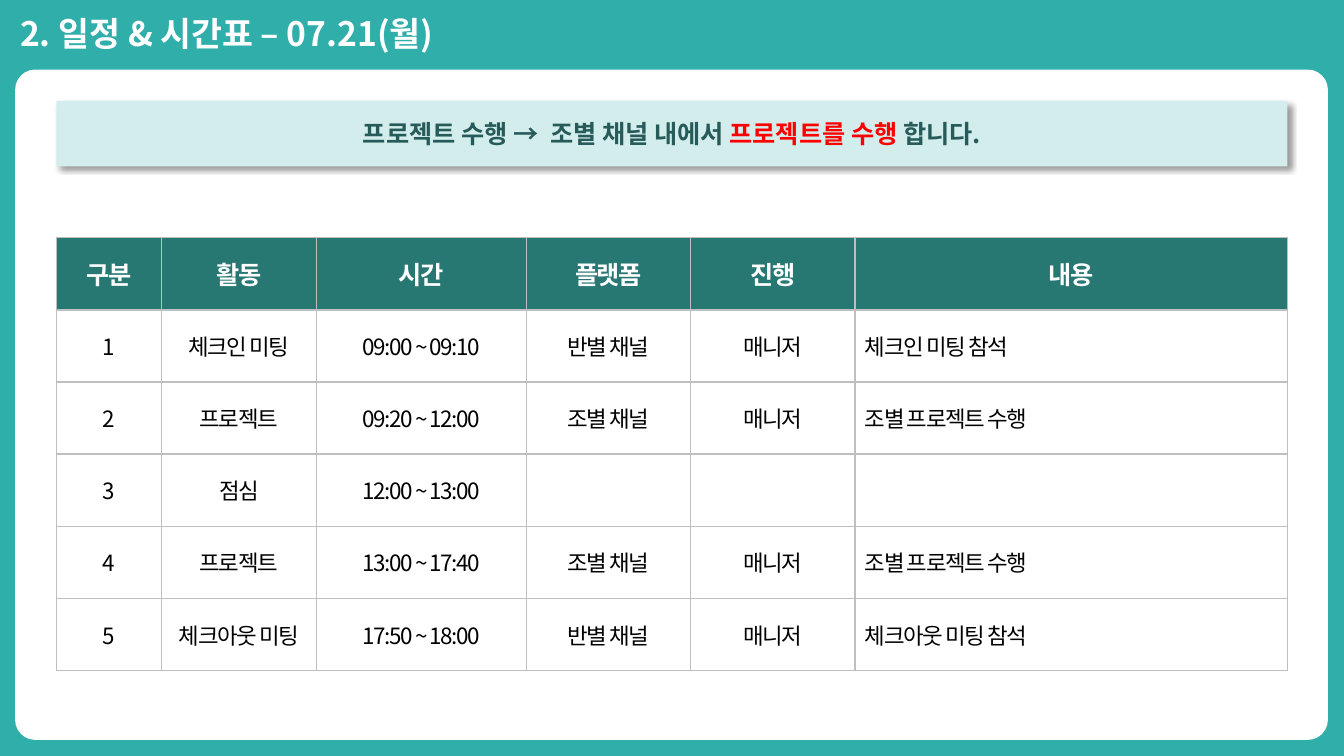
from dataclasses import dataclass

from lxml import etree
from pptx import Presentation
from pptx import util as u
from pptx.dml.color import RGBColor
from pptx.enum import shapes, text
from pptx.oxml import ns, parse_xml

FONT = "Noto Sans CJK KR"
TEAL = RGBColor(0x30, 0xAE, 0xAA)
PALE_TEAL = RGBColor(0xD3, 0xED, 0xEC)
DARK_TEAL = RGBColor(0x27, 0x78, 0x72)
NOTICE_TEXT = RGBColor(0x27, 0x5B, 0x5A)
GRID = RGBColor(0xBF, 0xBF, 0xBF)
RED = RGBColor(0xFF, 0, 0)
WHITE = RGBColor(0xFF, 0xFF, 0xFF)
BLACK = RGBColor(0, 0, 0)

LEFT, WIDTH = 0.56, 12.21
ROW_HEIGHT = 0.715


@dataclass(frozen=True)
class Span:
    words: str
    size: int
    color: RGBColor
    bold: bool = True
    spacing: int = 0


@dataclass(frozen=True)
class Column:
    heading: str
    width: float
    align: text.PP_ALIGN = text.PP_ALIGN.CENTER


COLUMNS = [
    Column("구분", 1.04),
    Column("활동", 1.54),
    Column("시간", 2.08),
    Column("플랫폼", 1.63),
    Column("진행", 1.63),
    Column("내용", 4.29, text.PP_ALIGN.LEFT),
]
SCHEDULE = [
    ("1", "체크인 미팅", "09:00 ~ 09:10", "반별 채널", "매니저", "체크인 미팅 참석"),
    ("2", "프로젝트", "09:20 ~ 12:00", "조별 채널", "매니저", "조별 프로젝트 수행"),
    ("3", "점심", "12:00 ~ 13:00", "", "", ""),
    ("4", "프로젝트", "13:00 ~ 17:40", "조별 채널", "매니저", "조별 프로젝트 수행"),
    ("5", "체크아웃 미팅", "17:50 ~ 18:00", "반별 채널", "매니저", "체크아웃 미팅 참석"),
]
NOTICE = [
    Span("프로젝트 수행 →  조별 채널 내에서 ", 18, NOTICE_TEXT),
    Span("프로젝트를 수행 ", 18, RED),
    Span("합니다.", 18, NOTICE_TEXT),
]


def write(para, spans: list[Span], align: text.PP_ALIGN) -> None:
    para.alignment = align
    for span in spans:
        run = para.add_run()
        run.text = span.words
        run.font.size = u.Pt(span.size)
        run.font.bold = span.bold
        run.font.color.rgb = span.color
        run.font.name = FONT
        properties = run.font._element
        etree.SubElement(properties, ns.qn("a:ea"), typeface=FONT)
        if span.spacing:
            properties.set("spc", str(span.spacing * 100))


def add_panel(page, kind: shapes.MSO_SHAPE, left: float, top: float,
              width: float, height: float, fill: RGBColor):
    panel = page.shapes.add_shape(
        kind, u.Inches(left), u.Inches(top), u.Inches(width), u.Inches(height))
    panel.shadow.inherit = False
    panel.fill.solid()
    panel.fill.fore_color.rgb = fill
    panel.line.fill.background()
    return panel


def add_title(page) -> None:
    title = page.shapes.title
    title.left, title.top = u.Inches(0.1), u.Inches(0.08)
    title.width, title.height = u.Inches(5.06), u.Inches(0.5)
    frame = title.text_frame
    frame.auto_size = text.MSO_AUTO_SIZE.SHAPE_TO_FIT_TEXT
    frame.vertical_anchor = text.MSO_ANCHOR.TOP
    frame.word_wrap = True
    write(frame.paragraphs[0], [Span("2. 일정 & 시간표 – 07.21(월)", 24, WHITE)],
          text.PP_ALIGN.LEFT)


def add_notice(page) -> None:
    box = add_panel(page, shapes.MSO_SHAPE.RECTANGLE, LEFT, 1, WIDTH, 0.65, PALE_TEAL)
    effects = box._element.spPr.find(ns.qn("a:effectLst"))
    effects.append(parse_xml(
        f'<a:outerShdw {ns.nsdecls("a")} blurRad="{u.Pt(4)}" dist="{u.Pt(3)}" '
        f'dir="{45 * 60000}" algn="tl" rotWithShape="0">'
        '<a:srgbClr val="000000"><a:alpha val="40000"/></a:srgbClr></a:outerShdw>'))
    frame = box.text_frame
    frame.word_wrap = False
    frame.vertical_anchor = text.MSO_ANCHOR.MIDDLE
    write(frame.paragraphs[0], NOTICE, text.PP_ALIGN.CENTER)


def add_borders(cell) -> None:
    properties = cell._tc.get_or_add_tcPr()
    for side in "LRTB":
        properties.append(parse_xml(
            f'<a:ln{side} {ns.nsdecls("a")} w="{u.Pt(1)}"><a:solidFill>'
            f'<a:srgbClr val="{GRID}"/></a:solidFill></a:ln{side}>'))


def add_schedule(page) -> None:
    rows = [tuple(column.heading for column in COLUMNS), *SCHEDULE]
    table = page.shapes.add_table(
        len(rows), len(COLUMNS), u.Inches(LEFT), u.Inches(2.36),
        u.Inches(WIDTH), u.Inches(ROW_HEIGHT * len(rows))).table
    table.horz_banding = False
    for index, column in enumerate(COLUMNS):
        table.columns[index].width = u.Inches(column.width)
    for row_index, row in enumerate(rows):
        is_header = row_index == 0
        for column_index, words in enumerate(row):
            cell = table.cell(row_index, column_index)
            cell.vertical_anchor = text.MSO_ANCHOR.MIDDLE
            add_borders(cell)
            if is_header:
                cell.fill.solid()
                cell.fill.fore_color.rgb = DARK_TEAL
                span = Span(words, 18, WHITE, spacing=-1)
                align = text.PP_ALIGN.CENTER
            else:
                cell.fill.background()
                span = Span(words, 16, BLACK, bold=False, spacing=-1)
                align = COLUMNS[column_index].align
            if words:
                write(cell.text_frame.paragraphs[0], [span], align)


def main() -> None:
    deck = Presentation()
    deck.slide_width, deck.slide_height = u.Inches(13.33), u.Inches(7.5)
    page = deck.slides.add_slide(deck.slide_layouts.get_by_name("Title Only"))
    page.background.fill.solid()
    page.background.fill.fore_color.rgb = TEAL
    add_title(page)
    card = add_panel(page, shapes.MSO_SHAPE.ROUNDED_RECTANGLE,
                     0.15, 0.69, 13.02, 6.65, WHITE)
    card.adjustments[0] = 0.03
    add_notice(page)
    add_schedule(page)
    deck.save("out.pptx")


if __name__ == "__main__":
    main()
